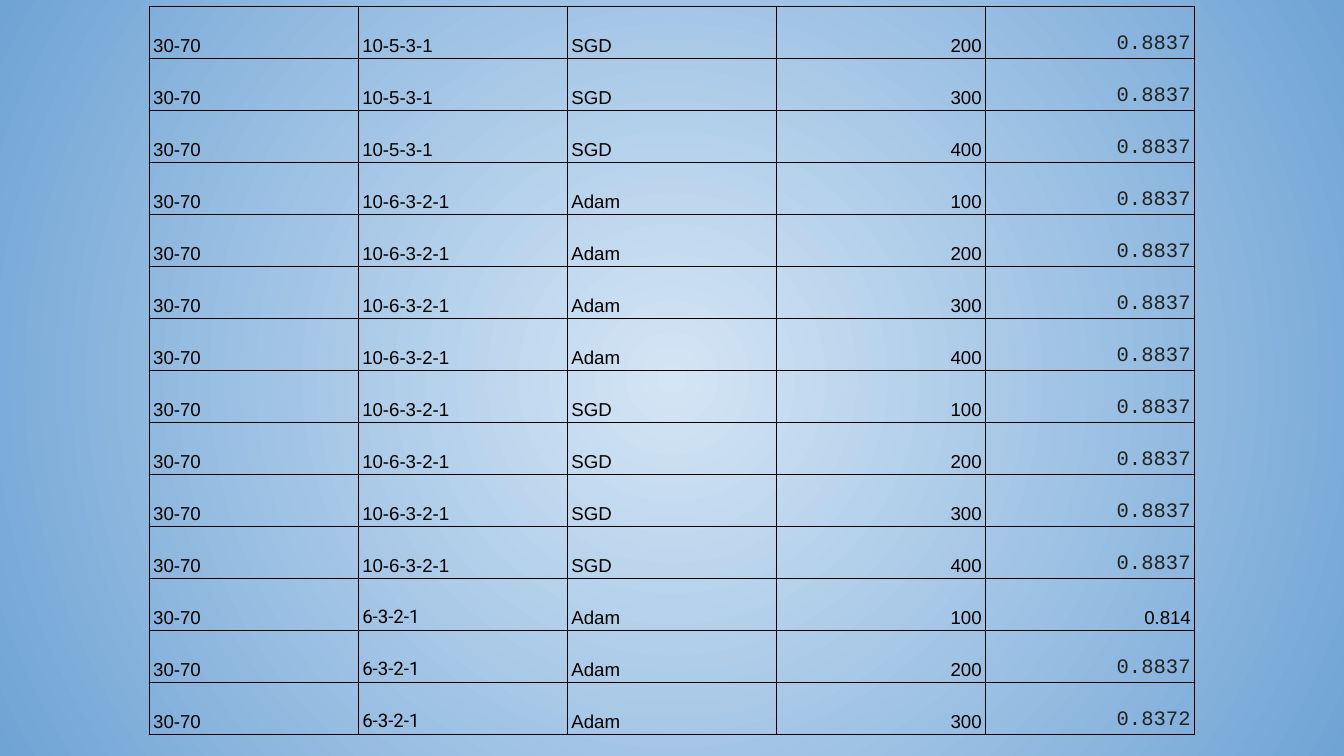
from lxml.etree import SubElement
from pptx import Presentation
from pptx.dml.color import RGBColor
from pptx.enum.text import MSO_ANCHOR, PP_ALIGN
from pptx.oxml.ns import qn
from pptx.util import Inches, Pt

HUES = {"ink": "000000", "code": "212121", "core": "D4E5F5", "edge": "70A4D5"}
WIDE = 10
SPLIT = "30-70"
COLS = 5
RUNS = [
    ("10-5-3-1", "SGD", {200: "0.8837", 300: "0.8837", 400: "0.8837"}),
    ("10-6-3-2-1", "Adam", dict.fromkeys((100, 200, 300, 400), "0.8837")),
    ("10-6-3-2-1", "SGD", dict.fromkeys((100, 200, 300, 400), "0.8837")),
    ("6-3-2-1", "Adam", {100: "0.814", 200: "0.8837", 300: "0.8372"}),
]
ROWS = [(SPLIT, net, opt, str(epoch), score)
        for net, opt, marks in RUNS for epoch, score in marks.items()]


def paint(slide):
    """Fill the background with a gradient that spreads from the centre."""
    fill = slide.background.fill
    fill.gradient()
    for stop, hue, at in zip(fill.gradient_stops, ("core", "edge"), (0, 1)):
        stop.color.rgb = RGBColor.from_string(HUES[hue])
        stop.position = at
    line = slide.element.find(".//" + qn("a:lin"))
    grad = line.getparent()
    grad.remove(line)
    ring = SubElement(grad, qn("a:path"), path="circle")
    SubElement(ring, qn("a:fillToRect"), {side: "50000" for side in "ltrb"})


def border(cell):
    """Draw a thin solid line on all four sides of a cell."""
    props = cell._tc.get_or_add_tcPr()
    for side in ("lnL", "lnR", "lnT", "lnB"):
        line = SubElement(props, qn("a:" + side), w=str(Pt(0.75)))
        fill = SubElement(line, qn("a:solidFill"))
        SubElement(fill, qn("a:srgbClr"), val=HUES["ink"])


def style(col, text):
    """Return the font, size and colour for a value in a column."""
    if col == 4 and text != "0.814":
        return "Courier New", 11, "code"
    if col == 1 and text == "6-3-2-1":
        return "Roboto", 10, "ink"
    return "Arial", 10, "ink"


def write(cell, col, text):
    """Set the look and the text of one cell."""
    border(cell)
    cell.fill.background()
    cell.vertical_anchor = MSO_ANCHOR.BOTTOM
    cell.margin_left = cell.margin_right = Inches(0.03)
    cell.margin_top = cell.margin_bottom = Inches(0.02)
    para = cell.text_frame.paragraphs[0]
    para.line_spacing = 1.15
    para.alignment = PP_ALIGN.RIGHT if col > 2 else PP_ALIGN.LEFT
    run = para.add_run()
    run.text = text
    name, size, hue = style(col, text)
    run.font.name = name
    run.font.size = Pt(size)
    run.font.color.rgb = RGBColor.from_string(HUES[hue])


def scores(slide, left, top, width, height):
    """Place the table of training runs in the given box."""
    table = slide.shapes.add_table(
        len(ROWS), COLS, Inches(left), Inches(top),
        Inches(width), Inches(height)).table
    table.first_row = table.horz_banding = False
    for r, row in enumerate(ROWS):
        table.rows[r].height = Inches(height / len(ROWS))
        for c, text in enumerate(row):
            write(table.cell(r, c), c, text)


def main():
    """Build the slide and save it."""
    deck = Presentation()
    deck.slide_width, deck.slide_height = Inches(WIDE), Inches(WIDE * 9 / 16)
    slide = deck.slides.add_slide(deck.slide_layouts[6])
    paint(slide)
    scores(slide, 1.11, 0.05, 7.78, 5.42)
    deck.save("out.pptx")


if __name__ == "__main__":
    main()
